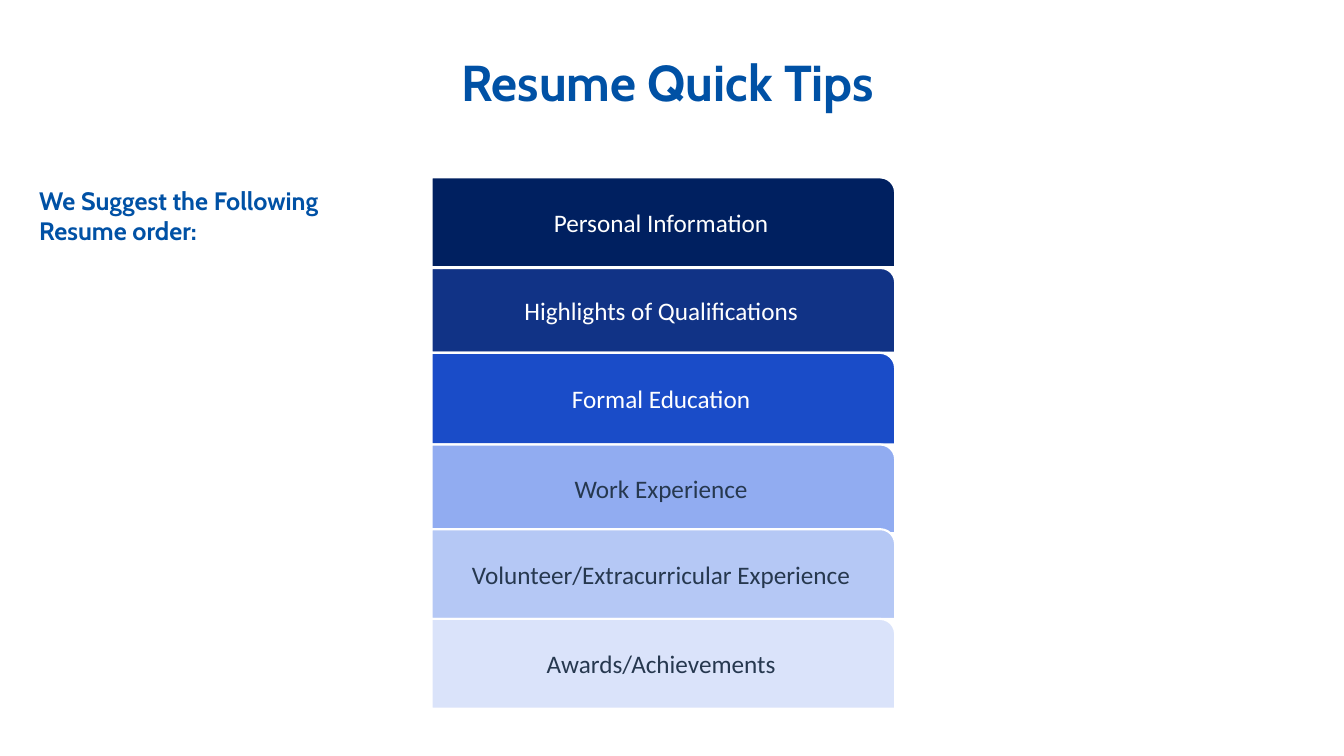
from dataclasses import dataclass

from pptx import Presentation
from pptx.dml.color import RGBColor
from pptx.enum.shapes import MSO_SHAPE as SHAPE
from pptx.enum.text import MSO_ANCHOR as ANCHOR, MSO_AUTO_SIZE as AUTO, PP_ALIGN as ALIGN
from pptx.util import Pt


@dataclass(frozen=True)
class Theme:
    heading_font: str = "Cabin"
    body_font: str = "Calibri"
    title_size: int = 36
    text_size: int = 18
    heading: str = "0051A5"
    light: str = "FFFFFF"
    dark: str = "26384F"


THEME = Theme()

# label, fill, text colour, top within the stack, height
SECTIONS = [
    ("Personal Information", "002060", THEME.light, 0, 64.1),
    ("Highlights of Qualifications", "113386", THEME.light, 64.8, 60.5),
    ("Formal Education", "1A4CC8", THEME.light, 125.3, 65.5),
    ("Work Experience", "91ACF1", THEME.dark, 190.8, 63.4),
    ("Volunteer/Extracurricular Experience", "B5C8F5", THEME.dark, 251.3, 64.1),
    ("Awards/Achievements", "DAE3FA", THEME.dark, 315.4, 64.1),
]


def write(tf, text, font, size, color, bold=False, align=ALIGN.LEFT, anchor=ANCHOR.TOP):
    tf.word_wrap = True
    tf.vertical_anchor = anchor
    p = tf.paragraphs[0]
    p.text = text
    p.alignment = align
    p.font.name = font
    p.font.size = Pt(size)
    p.font.bold = bold
    p.font.color.rgb = RGBColor.from_string(color)


def add_title(s, left, top, width, height):
    title = s.shapes.title
    title.left, title.top, title.width, title.height = map(Pt, (left, top, width, height))
    tf = title.text_frame
    tf.auto_size = AUTO.NONE
    write(tf, "Resume Quick Tips", THEME.heading_font, THEME.title_size,
          THEME.heading, True, ALIGN.CENTER, ANCHOR.MIDDLE)


def add_section_stack(s, left, top, width):
    for label, fill, color, offset, height in SECTIONS:
        bar = s.shapes.add_shape(SHAPE.ROUND_1_RECTANGLE, Pt(left), Pt(top + offset),
                                 Pt(width), Pt(height))
        bar.shadow.inherit = False
        bar.fill.solid()
        bar.fill.fore_color.rgb = RGBColor.from_string(fill)
        bar.line.color.rgb = RGBColor.from_string(THEME.light)
        bar.line.width = Pt(1.5)
        write(bar.text_frame, label, THEME.body_font, THEME.text_size, color,
              align=ALIGN.CENTER, anchor=ANCHOR.MIDDLE)


def add_lead_in(s, left, top, width, height):
    box = s.shapes.add_textbox(Pt(left), Pt(top), Pt(width), Pt(height))
    write(box.text_frame, "We Suggest the Following Resume order:",
          THEME.heading_font, THEME.text_size, THEME.heading, True)


def main():
    prs = Presentation()
    prs.slide_width, prs.slide_height = Pt(960), Pt(540)
    s = prs.slides.add_slide(prs.slide_layouts[5])
    add_title(s, 12.2, 42.5, 929.5, 31.7)
    add_section_stack(s, 308.2, 126.7, 331.2)
    add_lead_in(s, 20.9, 128.9, 274.3, 72.7)
    prs.save("out.pptx")


if __name__ == "__main__":
    main()
